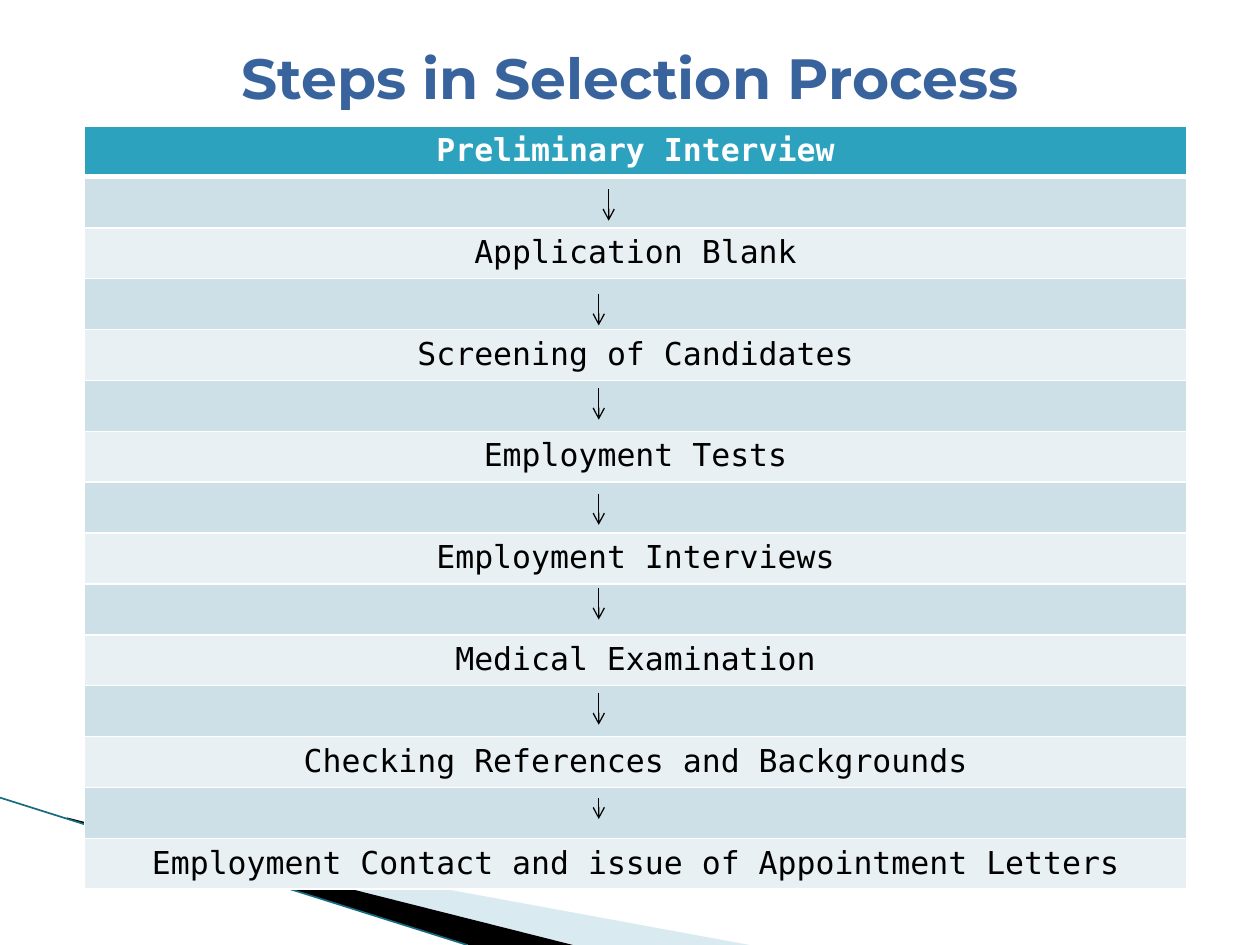
from dataclasses import dataclass

from lxml import etree
from pptx import Presentation
from pptx import util as u
from pptx.dml.color import RGBColor
from pptx.enum import shapes, text
from pptx.oxml import ns

WHITE = RGBColor(0xFF, 0xFF, 0xFF)
BLACK = RGBColor(0, 0, 0)
BLUE = RGBColor(0x39, 0x63, 0x9D)
TEAL = RGBColor(0x2D, 0xA2, 0xBF)
DARK = RGBColor(0x16, 0x6B, 0x80)
PALE = RGBColor(0xA0, 0xCB, 0xDC)
BAND = RGBColor(0xCD, 0xE0, 0xE8)
LIGHT = RGBColor(0xE8, 0xF0, 0xF4)
MONO = "DejaVu Sans Mono"
HEAD = "Montserrat"

STEPS = [
    "Preliminary Interview",
    "Application Blank",
    "Screening of Candidates",
    "Employment Tests",
    "Employment Interviews",
    "Medical Examination",
    "Checking References and Backgrounds",
    "Employment Contact and issue of Appointment Letters",
]


@dataclass
class Arrow:
    x: float
    top: float
    end: float


@dataclass
class Wedge:
    """Corner shape; points are in hundredths of a centimetre."""
    points: list[tuple[int, int]]
    color: RGBColor
    alpha: int = 100


ARROWS = [Arrow(12.27, 3.81, 4.45)] + [
    Arrow(12.07, top, end) for top, end in (
        (5.92, 6.56), (7.82, 8.46), (9.95, 10.58),
        (11.85, 12.49), (13.97, 14.61), (16.09, 16.51))
]
WEDGES = [
    Wedge([(140, 1653), (1511, 1905), (1158, 1905), (140, 1651)], PALE, 40),
    Wedge([(135, 1648), (1155, 1905), (945, 1905), (137, 1651)], BLACK),
]


def sub(parent, tag: str, **attrs: str):
    return etree.SubElement(parent, ns.qn(tag), attrs)


def add_text(para, words: str, face: str, size: float,
             color: RGBColor, bold: bool) -> None:
    para.alignment = text.PP_ALIGN.CENTER
    run = para.add_run()
    run.text = words
    run.font.name = face
    run.font.size = u.Pt(size)
    run.font.bold = bold
    run.font.color.rgb = color


def add_wedge(slide, wedge: Wedge) -> None:
    start, *rest = wedge.points
    build = slide.shapes.build_freeform(*start, scale=u.Cm(0.01))
    build.add_line_segments(rest, close=True)
    shape = build.convert_to_shape()
    shape.shadow.inherit = False
    shape.line.fill.background()
    shape.fill.solid()
    shape.fill.fore_color.rgb = wedge.color
    if wedge.alpha < 100:
        color = shape.element.spPr.find(".//" + ns.qn("a:srgbClr"))
        sub(color, "a:alpha", val=str(wedge.alpha * 1000))


def add_line(slide, start: tuple[float, float], end: tuple[float, float],
             color: RGBColor, width: float, head: bool = False) -> None:
    line = slide.shapes.add_connector(
        shapes.MSO_CONNECTOR.STRAIGHT, *map(u.Cm, start + end))
    line.line.color.rgb = color
    line.line.width = u.Pt(width)
    if head:
        sub(line.line._get_or_add_ln(), "a:tailEnd", type="arrow")
    sub(line.element.spPr, "a:effectLst")


def add_edge(cell, side: str, width: float) -> None:
    edge = sub(cell._tc.get_or_add_tcPr(), "a:ln" + side, w=str(u.Pt(width)))
    sub(sub(edge, "a:solidFill"), "a:srgbClr", val=str(WHITE))


def add_steps(slide) -> None:
    """Put each step in its own row, with an empty row between steps."""
    count = 2 * len(STEPS) - 1
    table = slide.shapes.add_table(
        count, 1, u.Cm(1.7), u.Cm(2.54), u.Cm(22.22), u.Cm(15.34)).table
    for row in range(count):
        cell = table.cell(row, 0)
        first = row == 0
        for side in "LRTB":
            thick = (first and side == "B") or (row == 1 and side == "T")
            add_edge(cell, side, 3 if thick else 1)
        cell.fill.solid()
        cell.fill.fore_color.rgb = TEAL if first else BAND if row % 2 else LIGHT
        if row % 2 == 0:
            add_text(cell.text_frame.paragraphs[0], STEPS[row // 2], MONO, 18,
                     WHITE if first else BLACK, first)


def add_title(slide) -> None:
    title = slide.shapes.title
    title.left, title.top = u.Cm(1.27), u.Cm(0.76)
    title.width, title.height = u.Cm(22.86), u.Cm(1.57)
    frame = title.text_frame
    frame.vertical_anchor = text.MSO_ANCHOR.MIDDLE
    frame.auto_size = text.MSO_AUTO_SIZE.NONE
    add_text(frame.paragraphs[0], "Steps in Selection Process",
             HEAD, 32.4, BLUE, True)


def main() -> None:
    deck = Presentation()
    deck.slide_width, deck.slide_height = u.Cm(25.4), u.Cm(19.05)
    slide = deck.slides.add_slide(deck.slide_layouts[5])
    for wedge in WEDGES:
        add_wedge(slide, wedge)
    add_line(slide, (0, 16.08), (9.42, 19.05), DARK, 0.95)
    add_title(slide)
    add_steps(slide)
    for arrow in ARROWS:
        add_line(slide, (arrow.x, arrow.top), (arrow.x, arrow.end),
                 BLACK, 0.75, head=True)
    deck.save("out.pptx")


if __name__ == "__main__":
    main()
